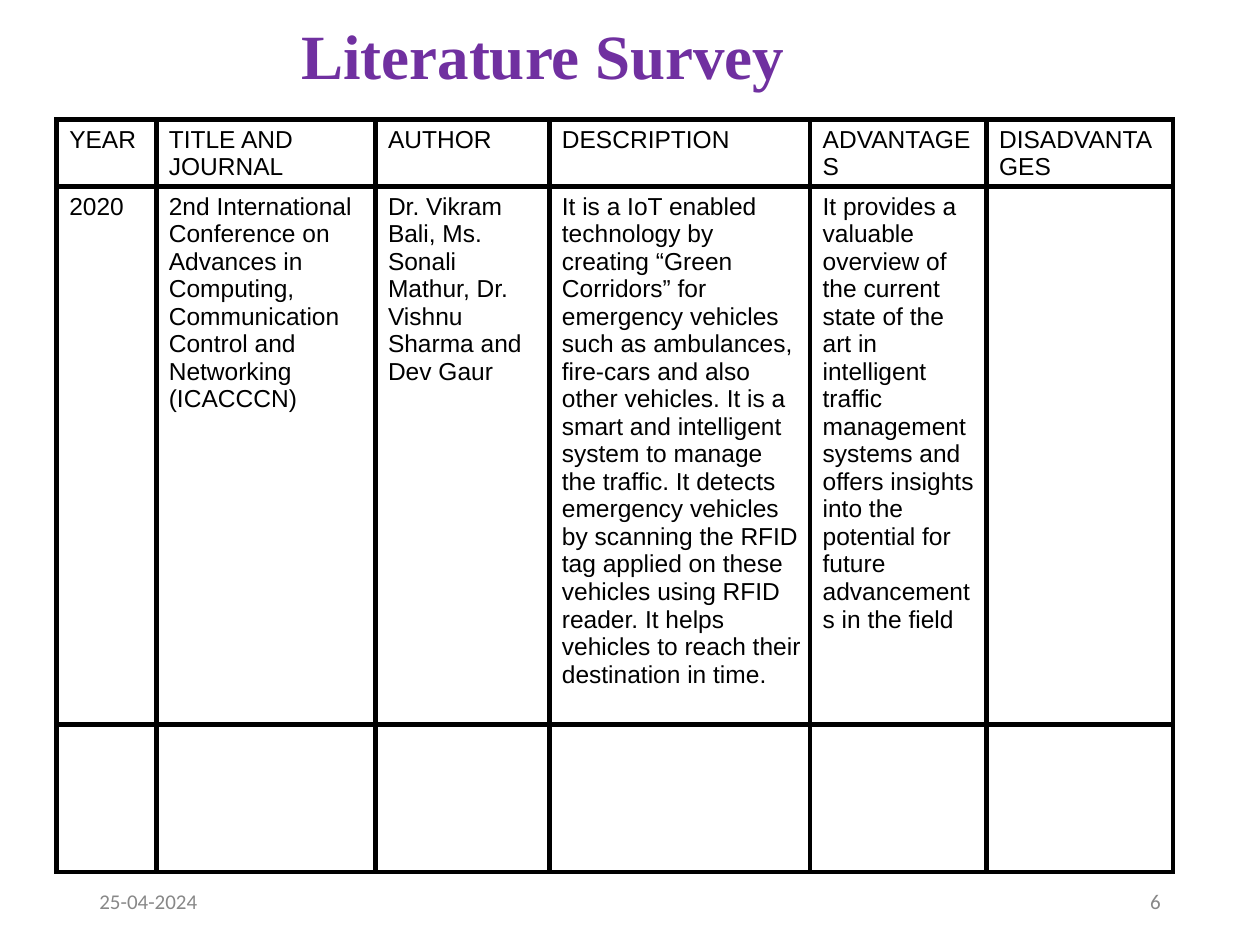
import dataclasses

import pptx
import pptx.dml.color
import pptx.enum.text
import pptx.oxml
import pptx.oxml.ns
import pptx.util

Inches = pptx.util.Inches
ALIGN = pptx.enum.text.PP_ALIGN
ANCHOR = pptx.enum.text.MSO_ANCHOR


@dataclasses.dataclass(frozen=True)
class Theme:
    title_color: str = "7030A0"
    text_color: str = "000000"
    footer_color: str = "888888"
    border_color: str = "000000"
    border_width: float = 3
    title_size: int = 36
    table_size: int = 14
    footer_size: int = 12
    title_font: str = "Times New Roman"
    table_font: str = "Arial"
    footer_font: str = "Calibri"


THEME = Theme()

COLUMN_WIDTHS = (0.79, 1.74, 1.38, 2.07, 1.4, 1.48)
ROW_HEIGHTS = (0.53, 4.27, 1.17)
# The thick borders take room from the text, so the far margins are tighter.
CELL_MARGINS = {"margin_left": Inches(0.1), "margin_right": Inches(0.07),
                "margin_top": Inches(0.05), "margin_bottom": Inches(0)}
SURVEY = (
    ("YEAR", "TITLE AND JOURNAL", "AUTHOR", "DESCRIPTION", "ADVANTAGES", "DISADVANTAGES"),
    (
        "2020",
        "2nd International Conference on Advances in Computing, Communication "
        "Control and Networking (ICACCCN)",
        "Dr. Vikram Bali, Ms. Sonali Mathur, Dr. Vishnu Sharma and Dev Gaur",
        "It is a IoT enabled technology by creating “Green Corridors” for emergency "
        "vehicles such as ambulances, fire-cars and also other vehicles. It is a smart "
        "and intelligent system to manage the traffic. It detects emergency vehicles by "
        "scanning the RFID tag applied on these vehicles using RFID reader. It helps "
        "vehicles to reach their destination in time.",
        "It provides a valuable overview of the current state of the art in intelligent "
        "traffic management systems and offers insights into the potential for future "
        "advancements in the field",
        "",
    ),
    ("",) * len(COLUMN_WIDTHS),
)


def set_all(target, values):
    for name, value in values.items():
        setattr(target, name, value)


def write(frame, text, color, font, paragraph=None):
    """Put one formatted paragraph into a text frame."""
    line = frame.paragraphs[0]
    set_all(line, paragraph or {})
    run = line.add_run()
    run.text = text
    set_all(run.font, font)
    run.font.color.rgb = pptx.dml.color.RGBColor.from_string(color)


def add_title(slide, text):
    title = slide.shapes.title
    set_all(title, {"left": Inches(0), "top": Inches(0.18),
                    "width": Inches(8.62), "height": Inches(0.58)})
    set_all(title.text_frame, {"vertical_anchor": ANCHOR.MIDDLE, "word_wrap": True,
                               "auto_size": pptx.enum.text.MSO_AUTO_SIZE.NONE})
    font = {"name": THEME.title_font, "size": pptx.util.Pt(THEME.title_size), "bold": True}
    write(title.text_frame, text, THEME.title_color, font,
          {"alignment": ALIGN.CENTER, "line_spacing": 0.9})


def add_footer(slide, text, left, alignment):
    footer = slide.shapes.add_textbox(Inches(left), Inches(6.95), Inches(2.25), Inches(0.4))
    set_all(footer.text_frame, {"vertical_anchor": ANCHOR.MIDDLE, "word_wrap": True})
    font = {"name": THEME.footer_font, "size": pptx.util.Pt(THEME.footer_size)}
    write(footer.text_frame, text, THEME.footer_color, font, {"alignment": alignment})


def add_borders(cell):
    properties = cell._tc.get_or_add_tcPr()
    for position, side in enumerate(("lnL", "lnR", "lnT", "lnB")):
        border = pptx.oxml.parse_xml(
            f'<a:{side} {pptx.oxml.ns.nsdecls("a")} w="{pptx.util.Pt(THEME.border_width)}">'
            f'<a:solidFill><a:srgbClr val="{THEME.border_color}"/></a:solidFill></a:{side}>'
        )
        properties.insert(position, border)


def add_survey_table(slide):
    table = slide.shapes.add_table(
        len(ROW_HEIGHTS), len(COLUMN_WIDTHS), Inches(0.45), Inches(0.95),
        Inches(sum(COLUMN_WIDTHS)), Inches(sum(ROW_HEIGHTS)),
    ).table
    set_all(table, {"first_row": False, "horz_banding": False})
    for column, width in zip(table.columns, COLUMN_WIDTHS):
        column.width = Inches(width)
    font = {"name": THEME.table_font, "size": pptx.util.Pt(THEME.table_size)}
    for row, height, entries in zip(table.rows, ROW_HEIGHTS, SURVEY):
        row.height = Inches(height)
        for cell, entry in zip(row.cells, entries):
            set_all(cell, CELL_MARGINS)
            cell.fill.background()
            add_borders(cell)
            if entry:
                write(cell.text_frame, entry, THEME.text_color, font)


def main():
    deck = pptx.Presentation()
    set_all(deck, {"slide_width": Inches(10), "slide_height": Inches(7.5)})
    slide = deck.slides.add_slide(deck.slide_layouts.get_by_name("Title Only"))
    add_footer(slide, "25-04-2024", 0.69, ALIGN.LEFT)
    add_footer(slide, "6", 7.06, ALIGN.RIGHT)
    add_title(slide, "Literature Survey")
    add_survey_table(slide)
    deck.save("out.pptx")


if __name__ == "__main__":
    main()
